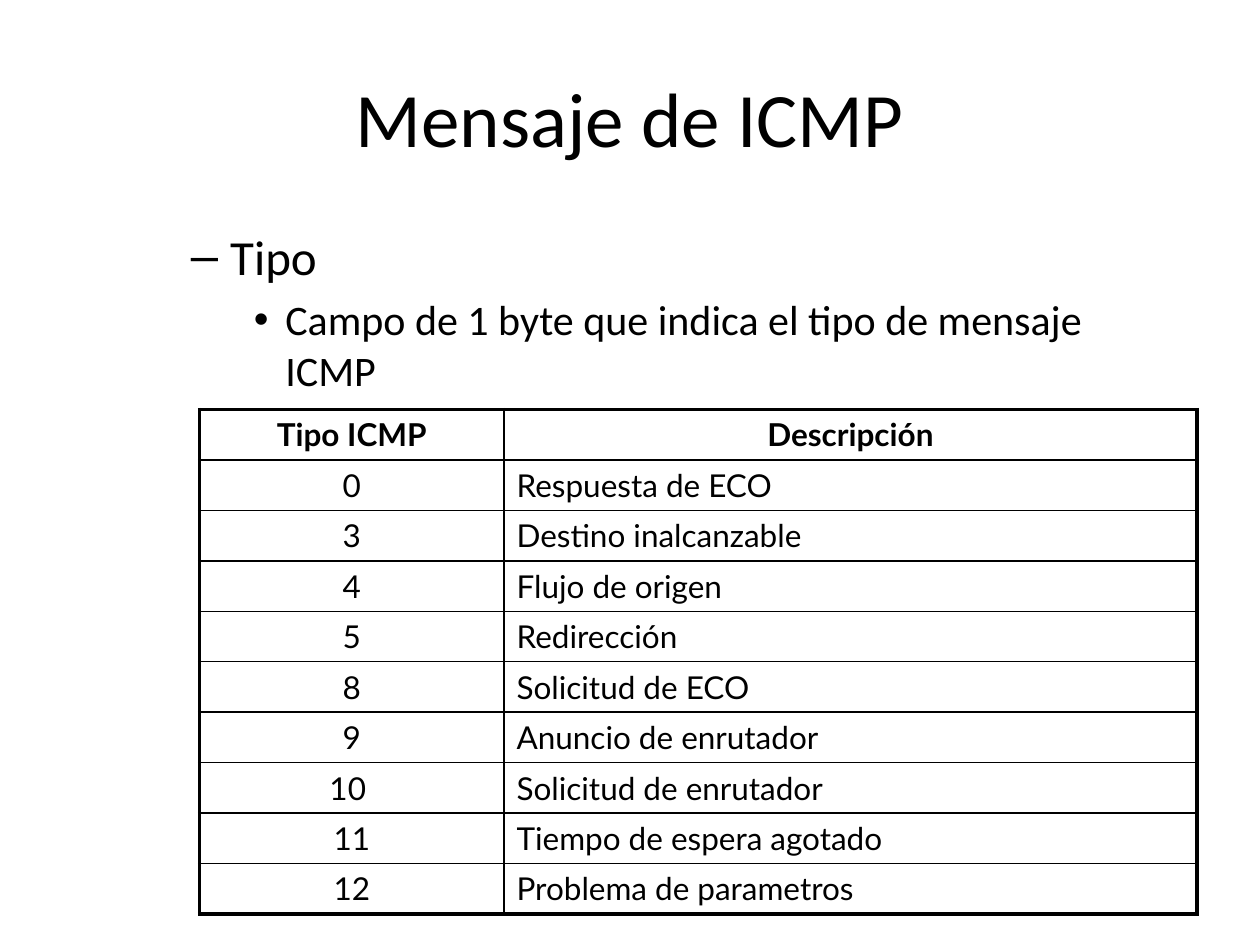
from lxml import etree
from pptx import Presentation
from pptx.dml.color import RGBColor
from pptx.enum.text import MSO_ANCHOR, PP_ALIGN
from pptx.oxml.ns import qn
from pptx.util import Pt

LEFT, CENTER = PP_ALIGN.LEFT, PP_ALIGN.CENTER
MIDDLE = MSO_ANCHOR.MIDDLE
COLORS = {"ink": "000000"}
THIN, THICK = 1, 2.25


class Deck:
    """Holds the style and the current slide."""

    def __init__(self, width, height):
        self.prs = Presentation()
        self.prs.slide_width, self.prs.slide_height = Pt(width), Pt(height)
        self.slide = self.prs.slides.add_slide(self.prs.slide_layouts[5])

    def style(self, para, size, face="Calibri", align=LEFT, bold=False):
        para.alignment = align
        font = para.font
        font.name, font.size, font.bold = face, Pt(size), bold
        font.color.rgb = RGBColor.from_string(COLORS["ink"])

    def title(self, text, box, size):
        shape = self.slide.shapes.title
        shape.left, shape.top, shape.width, shape.height = map(Pt, box)
        frame = shape.text_frame
        frame.text = text
        frame.vertical_anchor = MIDDLE
        self.style(frame.paragraphs[0], size, align=CENTER)

    def bullets(self, items, box):
        frame = self.slide.shapes.add_textbox(*map(Pt, box)).text_frame
        frame.word_wrap = True
        for i, (text, level, mark, size, margin, hang) in enumerate(items):
            para = frame.add_paragraph() if i else frame.paragraphs[0]
            para.text, para.level = text, level
            para.space_before = Pt(size * 0.2)
            self.style(para, size)
            props = para._p.get_or_add_pPr()
            props.set("marL", str(Pt(margin)))
            props.set("indent", str(-Pt(hang)))
            etree.SubElement(props, qn("a:buFont")).set("typeface", "Arial")
            etree.SubElement(props, qn("a:buChar")).set("char", mark)
            # Bullet marks come before the default run style
            tail = props.find(qn("a:defRPr"))
            if tail is not None:
                props.append(tail)

    def border(self, cell, side, width):
        props = cell._tc.get_or_add_tcPr()
        line = etree.SubElement(props, qn("a:ln" + side), w=str(Pt(width)))
        fill = etree.SubElement(line, qn("a:solidFill"))
        etree.SubElement(fill, qn("a:srgbClr")).set("val", COLORS["ink"])

    def table(self, rows, left, top, widths, height, size):
        count, last = len(rows), len(widths) - 1
        grid = self.slide.shapes.add_table(
            count, len(widths), Pt(left), Pt(top),
            Pt(sum(widths)), Pt(height * count)).table
        grid.horz_banding = False
        for col, width in zip(grid.columns, widths):
            col.width = Pt(width)
        for r, row in enumerate(rows):
            grid.rows[r].height = Pt(height)
            for c, text in enumerate(row):
                cell = grid.cell(r, c)
                cell.text = text
                align = CENTER if r == 0 or c == 0 else LEFT
                self.style(cell.text_frame.paragraphs[0], size, "Lato",
                           align, r == 0)
                # Heavy frame outside, thin rules inside
                edges = {"L": c == 0, "R": c == last,
                         "T": r == 0, "B": r == count - 1}
                for side, outer in edges.items():
                    self.border(cell, side, THICK if outer else THIN)
                cell.fill.background()


deck = Deck(720, 540)

# Heading
deck.title("Mensaje de ICMP", (36, 21.6, 648, 90), 44)

# Description of the field
deck.bullets([
    ("Tipo", 1, "–", 28, 58.5, 22.5),
    ("Campo de 1 byte que indica el tipo de mensaje ICMP", 2, "•", 24, 90, 18),
], (66, 126, 612, 324))

# Message types
TYPES = [
    ("Tipo ICMP", "Descripción"),
    ("0", "Respuesta de ECO"),
    ("3", "Destino inalcanzable"),
    ("4", "Flujo de origen"),
    ("5", "Redirección"),
    ("8", "Solicitud de ECO"),
    ("9", "Anuncio de enrutador"),
    ("10 ", "Solicitud de enrutador"),
    ("11", "Tiempo de espera agotado"),
    ("12", "Problema de parametros"),
]
deck.table(TYPES, 114, 234, (174, 396), 28.8, 18)

deck.prs.save("out.pptx")
